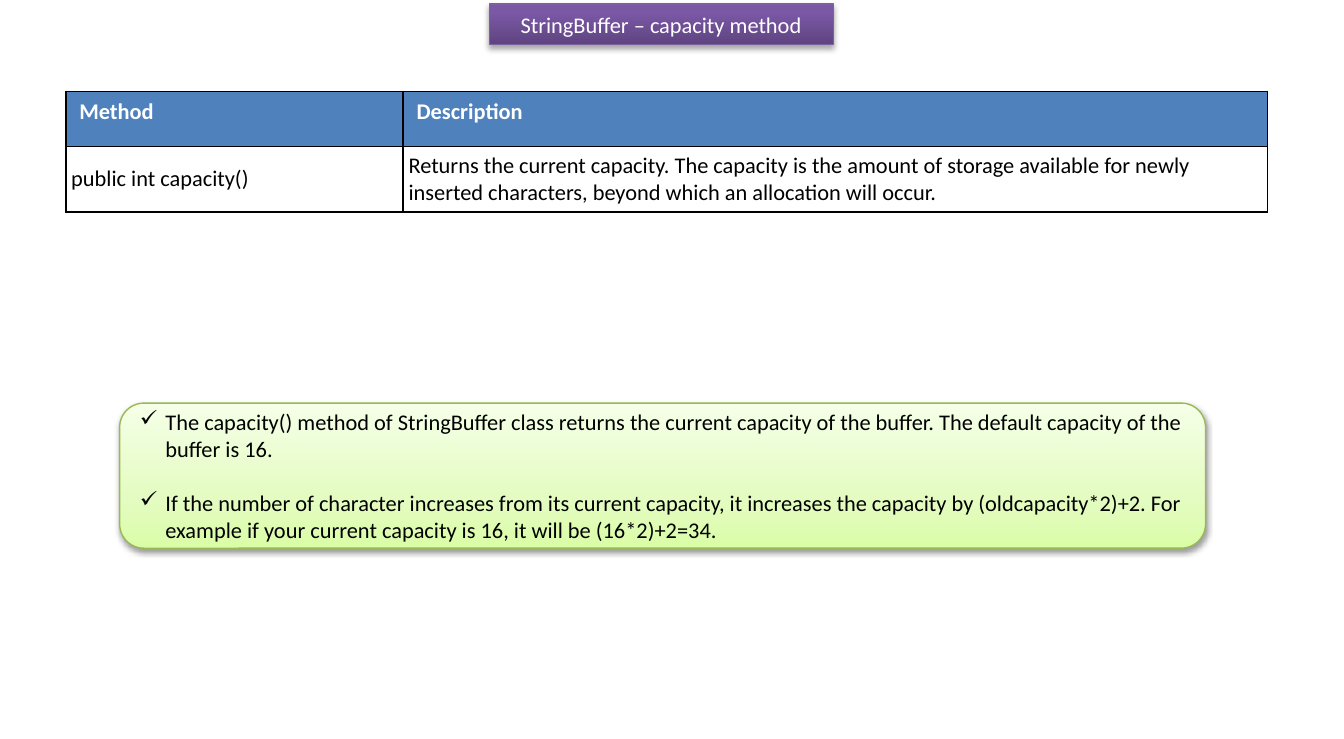
from dataclasses import dataclass

from lxml.etree import SubElement
from pptx import Presentation
from pptx.dml.color import RGBColor
from pptx.enum.shapes import MSO_SHAPE
from pptx.enum.text import MSO_ANCHOR as Anchor, MSO_AUTO_SIZE as AutoSize, PP_ALIGN as Align
from pptx.oxml.ns import qn
from pptx.util import Inches, Pt


@dataclass(frozen=True)
class Theme:
    font: str = "Calibri"
    size: float = 12
    light: str = "FFFFFF"
    dark: str = "000000"
    header: str = "4F81BD"
    title_line: str = "7D60A0"
    title_stops: tuple = ((0, "5F4480"), (80, "7B58A6"), (100, "7C57A8"))
    note_line: str = "98B955"
    note_stops: tuple = ((0, "DAFDA7"), (35, "E4FCC2"), (100, "F5FFE7"))


def add_color(parent, color):
    return SubElement(parent, qn("a:srgbClr"), val=color)


class SlideBuilder:
    def __init__(self, slide, theme):
        self.slide = slide
        self.theme = theme

    def style_text(self, paragraph, color, bold=False):
        font = paragraph.font
        font.name, font.size, font.bold = self.theme.font, Pt(self.theme.size), bold
        font.color.rgb = RGBColor.from_string(color)

    def style_panel(self, shape, stops, line_color, shadow_alpha, shadow_distance):
        """Give a shape an upward gradient, a thin outline and a soft drop shadow."""
        shape.fill.gradient()
        shape.fill.gradient_angle = 90
        properties = shape._element.spPr
        stop_list = properties.find(qn("a:gradFill")).find(qn("a:gsLst"))
        for old_stop in list(stop_list):
            stop_list.remove(old_stop)
        for position, color in stops:
            add_color(SubElement(stop_list, qn("a:gs"), pos=str(position * 1000)), color)
        shape.line.color.rgb = RGBColor.from_string(line_color)
        shape.line.width = Pt(0.75)
        shape.shadow.inherit = False
        shadow = SubElement(
            properties.find(qn("a:effectLst")), qn("a:outerShdw"), blurRad=str(Pt(3.1)),
            dist=str(Pt(shadow_distance)), dir="5400000", rotWithShape="0")
        SubElement(add_color(shadow, self.theme.dark), qn("a:alpha"), val=str(shadow_alpha * 1000))

    def add_title(self, text, left, top, width, height):
        title = self.slide.shapes.title
        title.left, title.top, title.width, title.height = map(Inches, (left, top, width, height))
        self.style_panel(title, self.theme.title_stops, self.theme.title_line, 35, 1.8)
        frame = title.text_frame
        frame.text = text
        frame.auto_size = AutoSize.NONE
        frame.vertical_anchor = Anchor.MIDDLE
        frame.paragraphs[0].alignment = Align.CENTER
        self.style_text(frame.paragraphs[0], self.theme.light)

    def add_borders(self, cell):
        cell_properties = cell._tc.get_or_add_tcPr()
        for side in ("lnL", "lnR", "lnT", "lnB"):
            border = SubElement(cell_properties, qn(f"a:{side}"), w=str(Pt(1)))
            add_color(SubElement(border, qn("a:solidFill")), self.theme.dark)

    def add_table(self, rows, left, top, widths, heights):
        table = self.slide.shapes.add_table(
            len(rows), len(widths), Inches(left), Inches(top),
            Inches(sum(widths)), Inches(sum(heights))).table
        table.horz_banding = False
        for column, width in zip(table.columns, widths):
            column.width = Inches(width)
        for index, (texts, height) in enumerate(zip(rows, heights)):
            table.rows[index].height = Inches(height)
            is_header = index == 0
            for cell, text in zip(table.rows[index].cells, texts):
                cell.text = text
                self.add_borders(cell)
                if is_header:
                    cell.fill.solid()
                    cell.fill.fore_color.rgb = RGBColor.from_string(self.theme.header)
                else:
                    cell.fill.background()
                    cell.vertical_anchor = Anchor.MIDDLE
                    cell.margin_left = cell.margin_right = Inches(0.04)
                    cell.margin_top = cell.margin_bottom = Inches(0.04)
                color = self.theme.light if is_header else self.theme.dark
                self.style_text(cell.text_frame.paragraphs[0], color, is_header)

    def add_note(self, points, left, top, width, height):
        note = self.slide.shapes.add_shape(
            MSO_SHAPE.ROUNDED_RECTANGLE, *map(Inches, (left, top, width, height)))
        self.style_panel(note, self.theme.note_stops, self.theme.note_line, 38, 1.6)
        frame = note.text_frame
        frame.word_wrap = True
        frame.vertical_anchor = Anchor.MIDDLE
        frame.text = "\n".join(points)
        for index, paragraph in enumerate(frame.paragraphs):
            paragraph.alignment = Align.LEFT
            if index:
                paragraph.space_before = Pt(14.6)
            properties = paragraph._p.get_or_add_pPr()
            properties.set("marL", str(Inches(0.19)))
            properties.set("indent", str(Inches(-0.19)))
            SubElement(properties, qn("a:buChar"), char="✓")
            self.style_text(paragraph, self.theme.dark)


def main():
    deck = Presentation()
    deck.slide_width, deck.slide_height = Inches(10), Inches(5.5)
    title_only = deck.slide_layouts[5]
    builder = SlideBuilder(deck.slides.add_slide(title_only), Theme())

    builder.add_title("StringBuffer – capacity method", 3.64, 0.03, 2.56, 0.3)
    builder.add_table(
        [("Method", "Description"),
         ("public int capacity()",
          "Returns the current capacity. The capacity is the amount of storage available "
          "for newly inserted characters, beyond which an allocation will occur.")],
        0.49, 0.68, widths=(2.51, 6.43), heights=(0.41, 0.48))
    builder.add_note(
        ["The capacity() method of StringBuffer class returns the current capacity of the "
         "buffer. The default capacity of the buffer is 16.",
         "If the number of character increases from its current capacity, it increases the "
         "capacity by (oldcapacity*2)+2. For example if your current capacity is 16, it "
         "will be (16*2)+2=34."],
        0.89, 3, 8.08, 1.08)
    deck.save("out.pptx")


if __name__ == "__main__":
    main()
